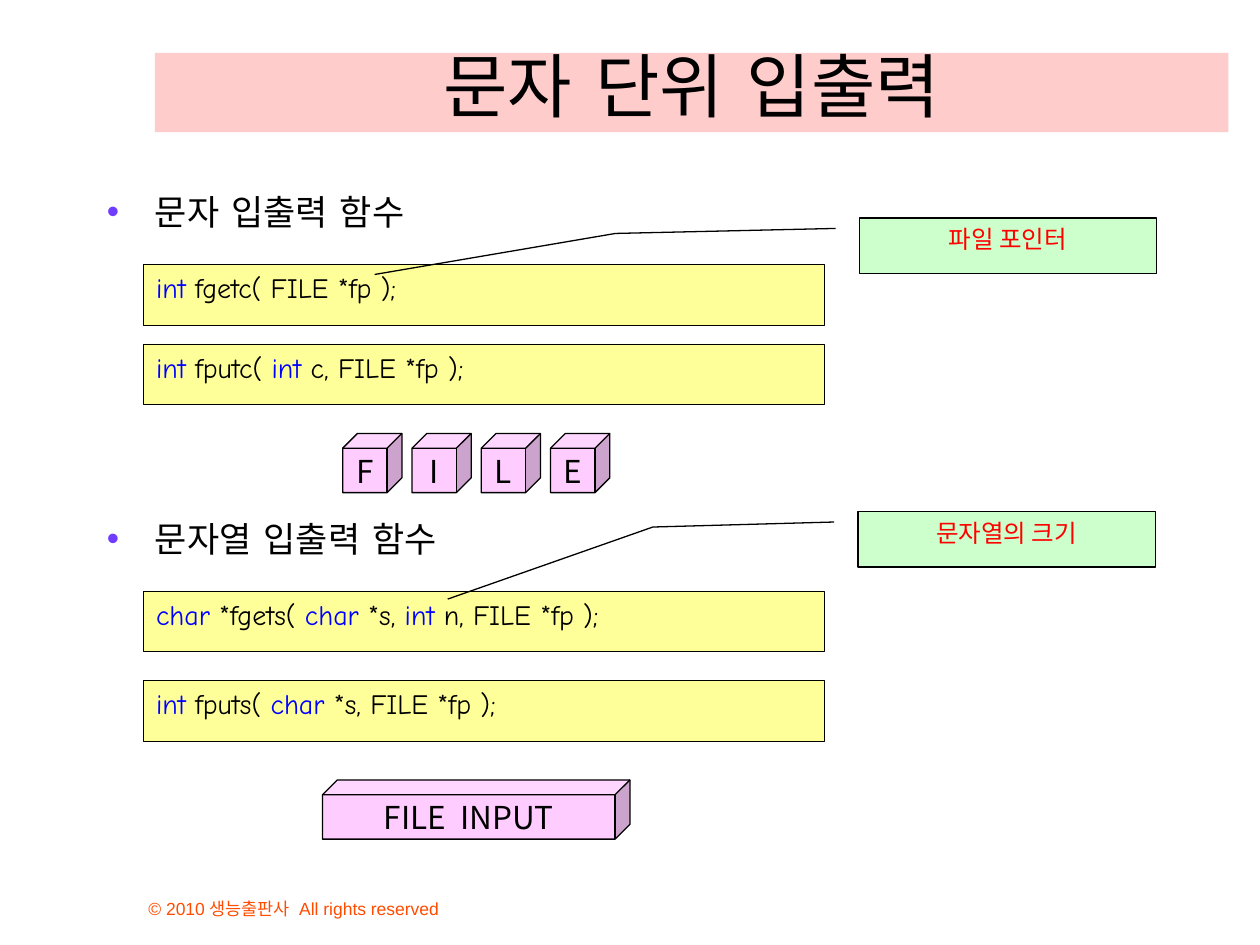
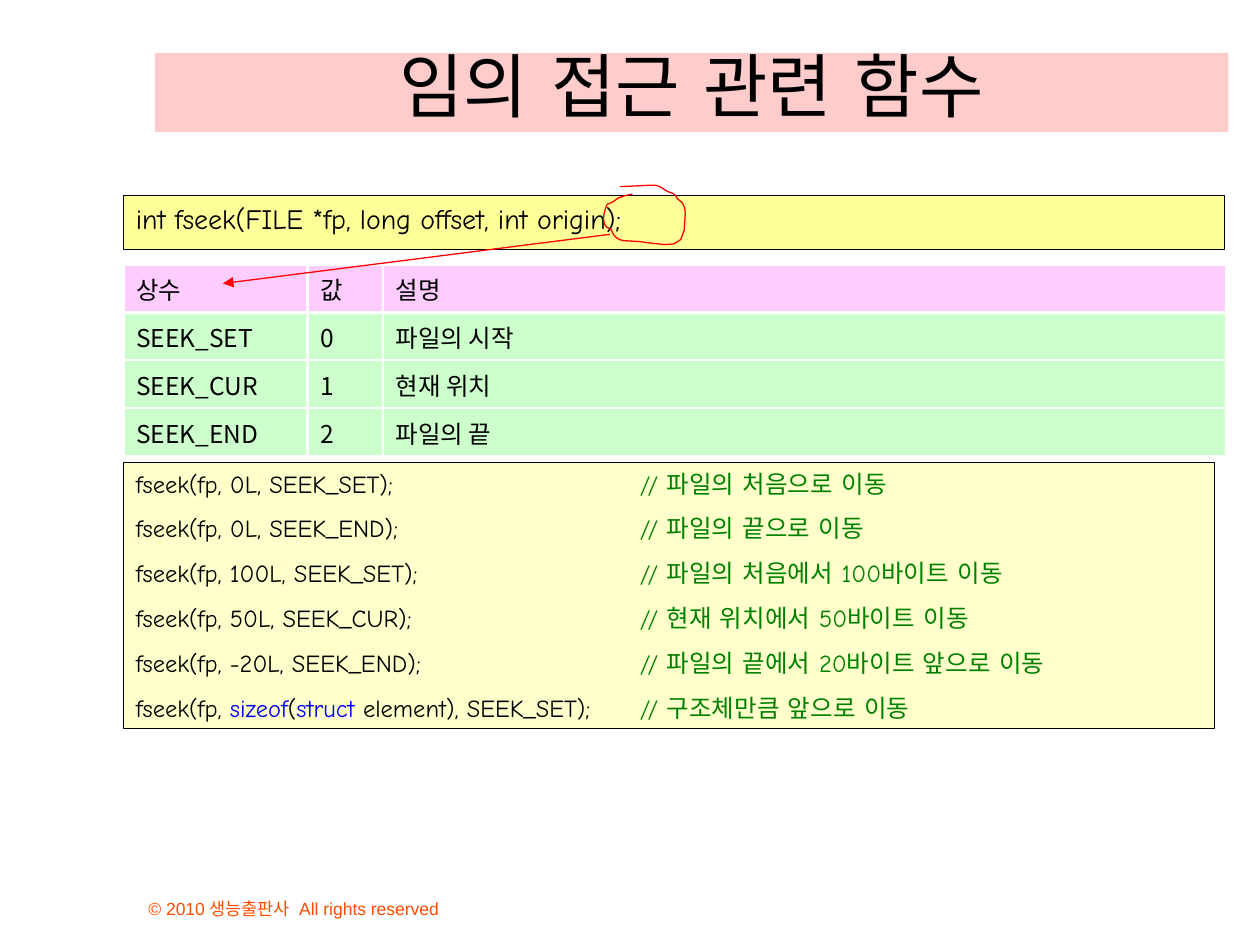
"""Builds two slides on character file input/output and random access in C."""
import pptx
import pptx.dml.color
import pptx.enum.shapes
import pptx.enum.text
import pptx.oxml.ns
import pptx.util
from lxml import etree

Inches = pptx.util.Inches
Pt = pptx.util.Pt
SHAPES = pptx.enum.shapes.MSO_SHAPE
ALIGN = pptx.enum.text.PP_ALIGN
ANCHOR = pptx.enum.text.MSO_ANCHOR

LATIN, KOREAN, PLAIN = "Comic Neue", "Noto Sans CJK KR", "Arial"
BLACK, WHITE, RED, BLUE, GREEN = "000000", "FFFFFF", "FF0000", "0000FF", "008000"
PINK, YELLOW, CREAM, MINT, LILAC = "FFCCCC", "FFFF99", "FFFFCC", "CCFFCC", "FFCCFF"
ORANGE, VIOLET = "FF4C00", "703DFF"
FOOTER = "© 2010 생능출판사  All rights reserved"

HEADINGS = [("문자 입출력 함수", 1.46), ("문자열 입출력 함수", 4.06)]
PROTOTYPES = [
    ("|int| fgetc( FILE *fp );", 2.1),
    ("|int| fputc( |int| c, FILE *fp );", 2.73),
    ("|char| *fgets( |char| *s, |int| n, FILE *fp );", 4.69),
    ("|int| fputs( |char| *s, FILE *fp );", 5.4),
]
CALLOUTS = [
    ("파일 포인터", 6.82, 1.73, (0.19, -0.08, 0.28, -0.82, 1.02, -1.63)),
    ("문자열의 크기", 6.81, 4.06, (0.19, -0.08, 0.28, -0.69, 1.58, -1.38)),
]
CUBE_LETTERS, CUBE_LEFT, CUBE_PITCH, CUBE_SIZE = "FILE", 2.72, 0.55, 0.47

FSEEK = "int fseek(FILE *fp, long offset, int origin);"
ORIGINS = [
    ("상수", "값", "설명"),
    ("SEEK_SET", "0", "파일의 시작"),
    ("SEEK_CUR", "1", "현재 위치"),
    ("SEEK_END", "2", "파일의 끝"),
]
ORIGIN_WIDTHS, ORIGIN_HEIGHT = (1.46, 0.6, 6.69), 0.38
EXAMPLES = [
    ("fseek(fp, 0L, SEEK_SET);", "// 파일의 처음으로 이동"),
    ("fseek(fp, 0L, SEEK_END);", "// 파일의 끝으로 이동"),
    ("fseek(fp, 100L, SEEK_SET);", "// 파일의 처음에서 100바이트 이동"),
    ("fseek(fp, 50L, SEEK_CUR);", "// 현재 위치에서 50바이트 이동"),
    ("fseek(fp, -20L, SEEK_END);", "// 파일의 끝에서 20바이트 앞으로 이동"),
    ("fseek(fp, |sizeof|(|struct| element), SEEK_SET);", "// 구조체만큼 앞으로 이동"),
]
LOOP_START = (5.02, 1.54)
LOOP_CURVES = [
    (4.93, 1.56, 4.97, 1.55, 4.91, 1.57), (4.88, 1.59, 4.86, 1.61, 4.82, 1.62),
    (4.79, 1.68, 4.76, 1.8, 4.85, 1.82), (4.87, 1.87, 4.89, 1.9, 4.95, 1.91),
    (5.21, 1.91, 5.4, 2.02, 5.43, 1.83), (5.43, 1.73, 5.47, 1.63, 5.38, 1.58),
    (5.37, 1.57, 5.37, 1.56, 5.36, 1.55), (5.34, 1.53, 5.32, 1.53, 5.3, 1.52),
    (5.26, 1.5, 5.25, 1.48, 5.2, 1.47), (5.11, 1.47, 5.02, 1.48, 4.92, 1.48),
]


def rgb(color):
    return pptx.dml.color.RGBColor.from_string(color)


def add_element(parent, tag, **attributes):
    return etree.SubElement(parent, pptx.oxml.ns.qn(tag), attributes)


def add_run(paragraph, text, size, color=BLACK, font=LATIN):
    run = paragraph.add_run()
    run.text = text
    run.font.size = Pt(size)
    run.font.name = font
    run.font.color.rgb = rgb(color)
    add_element(run.font._element, "a:ea", typeface=font)


def add_code(paragraph, code, size):
    for index, piece in enumerate(code.split("|")):
        if piece:
            add_run(paragraph, piece, size, BLUE if index % 2 else BLACK)


def set_frame(frame, anchor=ANCHOR.TOP, wrap=True):
    frame.word_wrap = wrap
    frame.vertical_anchor = anchor
    frame.margin_left = frame.margin_right = Inches(0.1)
    frame.margin_top = frame.margin_bottom = Inches(0.05)
    return frame.paragraphs[0]


def add_box(slide, box, fill, line_width=0, kind=SHAPES.RECTANGLE, align=ALIGN.LEFT, **frame):
    shape = slide.shapes.add_shape(kind, *map(Inches, box))
    shape.shadow.inherit = False
    shape.fill.solid()
    shape.fill.fore_color.rgb = rgb(fill)
    if line_width:
        shape.line.color.rgb = rgb(BLACK)
        shape.line.width = Pt(line_width)
    else:
        shape.line.fill.background()
    paragraph = set_frame(shape.text_frame, **frame)
    paragraph.alignment = align
    return shape, paragraph


def add_label(slide, box, **frame):
    return set_frame(slide.shapes.add_textbox(*map(Inches, box)).text_frame, **frame)


def add_prototype(slide, box, code):
    add_code(add_box(slide, box, YELLOW, 0.34)[1], code, 16)


def add_cube(slide, left, top, width, text):
    paragraph = add_box(slide, (left, top, width, CUBE_SIZE), LILAC, 0.75, SHAPES.CUBE,
                        ALIGN.CENTER, anchor=ANCHOR.MIDDLE, wrap=False)[1]
    add_run(paragraph, text, 18, font=KOREAN)


def add_heading(slide, text, top):
    paragraph = add_label(slide, (0.75, top, 9, 0.55))
    properties = paragraph._p.get_or_add_pPr()
    properties.set("marL", str(Inches(0.38)))
    properties.set("indent", str(Inches(-0.38)))
    add_element(add_element(properties, "a:buClr"), "a:srgbClr", val=VIOLET)
    add_element(properties, "a:buFont", typeface=PLAIN)
    add_element(properties, "a:buChar", char="•")
    add_run(paragraph, text, 20)


def add_callout(slide, text, left, top, adjustments):
    shape, paragraph = add_box(slide, (left, top, 2.36, 0.44), MINT, 0.75,
                               SHAPES.LINE_CALLOUT_2, ALIGN.CENTER)
    for index, value in enumerate(adjustments):
        shape.adjustments[index] = value
    add_run(paragraph, text, 14, RED, KOREAN)


def add_origin_table(slide):
    size = (sum(ORIGIN_WIDTHS), ORIGIN_HEIGHT * len(ORIGINS))
    table = slide.shapes.add_table(len(ORIGINS), len(ORIGIN_WIDTHS),
                                   *map(Inches, (0.98, 2.1, *size))).table
    for column, width in zip(table.columns, ORIGIN_WIDTHS):
        column.width = Inches(width)
    for row, texts in enumerate(ORIGINS):
        for column, text in enumerate(texts):
            cell = table.cell(row, column)
            cell.vertical_anchor = ANCHOR.MIDDLE
            add_run(cell.text_frame.paragraphs[0], text, 14, font=KOREAN)
            properties = cell._tc.get_or_add_tcPr()
            for side in ("a:lnL", "a:lnR", "a:lnT", "a:lnB"):
                border = add_element(properties, side, w=str(Pt(1.47)))
                add_element(add_element(border, "a:solidFill"), "a:srgbClr", val=WHITE)
            cell.fill.solid()
            cell.fill.fore_color.rgb = rgb(MINT if row else LILAC)


def curve_points(start, curves, steps=6):
    points = []
    for x1, y1, x2, y2, x3, y3 in curves:
        for step in range(1, steps + 1):
            t = step / steps
            weights = ((1 - t) ** 3, 3 * t * (1 - t) ** 2, 3 * t * t * (1 - t), t ** 3)
            points.append(tuple(sum(weight * value for weight, value in zip(weights, values))
                                for values in ((start[0], x1, x2, x3), (start[1], y1, y2, y3))))
        start = (x3, y3)
    return points


def add_loop_and_arrow(slide):
    builder = slide.shapes.build_freeform(*map(Inches, LOOP_START))
    builder.add_line_segments([tuple(map(Inches, point))
                               for point in curve_points(LOOP_START, LOOP_CURVES)], close=False)
    loop = builder.convert_to_shape()
    loop.shadow.inherit = False
    loop.fill.background()
    arrow = slide.shapes.add_connector(pptx.enum.shapes.MSO_CONNECTOR.STRAIGHT,
                                       *map(Inches, (4.84, 1.86, 1.77, 2.25)))
    for outline in (loop.line, arrow.line):
        outline.color.rgb = rgb(RED)
        outline.width = Pt(0.75)
    add_element(arrow.line._get_or_add_ln(), "a:tailEnd", type="triangle")
    add_element(arrow._element.spPr, "a:effectLst")


def add_examples(slide):
    shape, paragraph = add_box(slide, (0.98, 3.67, 8.66, 2.11), CREAM, 0.75)
    for index, (code, comment) in enumerate(EXAMPLES):
        if index:
            paragraph = shape.text_frame.add_paragraph()
            paragraph.alignment = ALIGN.LEFT
            paragraph.space_before = Pt(8.8)
        tabs = add_element(paragraph._p.get_or_add_pPr(), "a:tabLst")
        add_element(tabs, "a:tab", pos=str(Inches(4)), algn="l")
        add_code(paragraph, code + "\t", 14)
        add_run(paragraph, comment, 14, GREEN)


def add_slide(presentation, title):
    slide = presentation.slides.add_slide(presentation.slide_layouts[6])
    footer = add_label(slide, (1.08, 6.92, 3.83, 0.42), anchor=ANCHOR.BOTTOM)
    add_run(footer, FOOTER, 10, ORANGE, PLAIN)
    band = add_box(slide, (1.23, 0.42, 8.52, 0.63), PINK, align=ALIGN.CENTER,
                   anchor=ANCHOR.BOTTOM)[1]
    add_run(band, title, 40)
    return slide


def add_character_slide(presentation):
    slide = add_slide(presentation, "문자 단위 입출력")
    for text, top in HEADINGS:
        add_heading(slide, text, top)
    for code, top in PROTOTYPES:
        add_prototype(slide, (1.14, top, 5.4, 0.48), code)
    for callout in CALLOUTS:
        add_callout(slide, *callout)
    for index, letter in enumerate(CUBE_LETTERS):
        add_cube(slide, CUBE_LEFT + index * CUBE_PITCH, 3.44, CUBE_SIZE, letter)
    add_cube(slide, 2.56, 6.19, 2.44, "FILE  INPUT")


def add_random_access_slide(presentation):
    slide = add_slide(presentation, "임의 접근 관련 함수")
    add_prototype(slide, (0.98, 1.55, 8.74, 0.43), FSEEK)
    add_origin_table(slide)
    add_loop_and_arrow(slide)
    add_examples(slide)


def main():
    presentation = pptx.Presentation()
    presentation.slide_width, presentation.slide_height = Inches(10), Inches(7.5)
    add_character_slide(presentation)
    add_random_access_slide(presentation)
    presentation.save("out.pptx")


if __name__ == "__main__":
    main()
